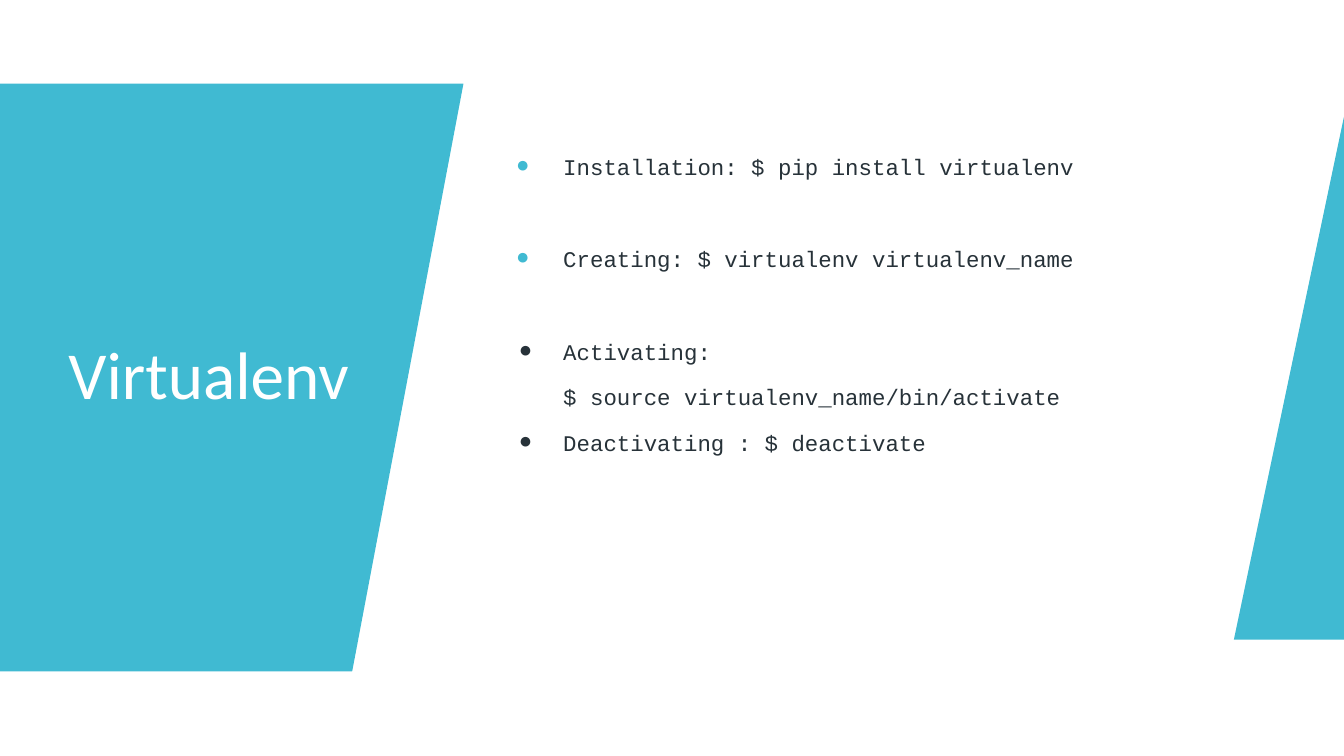
from lxml import etree
from pptx import Presentation
from pptx import util as u
from pptx.dml.color import RGBColor
from pptx.enum import text
from pptx.oxml.ns import qn

COLORS = {"panel": "40BAD2", "ink": "273239", "white": "FFFFFF"}
TITLE_FONT = {"name": "Calibri", "size": u.Pt(36), "bold": False}
BODY_FONT = {"name": "Courier New", "size": u.Pt(12)}
WIDE, NARROW = 33, 8
ITEMS = [
    ("Installation: $ pip install virtualenv", "panel", 0.89, 0),
    ("Creating: $ virtualenv virtualenv_name", "panel", 0.89, WIDE),
    ("Activating:", "ink", 0.84, WIDE),
    ("$ source virtualenv_name/bin/activate", None, 0, NARROW),
    ("Deactivating : $ deactivate", "ink", 0.84, NARROW),
]


def set_attrs(obj, values):
    for name, value in values.items():
        setattr(obj, name, value)


def place(sp, box):
    names = ("left", "top", "width", "height")
    set_attrs(sp, dict(zip(names, map(u.Cm, box))))


def style_run(r, font, color):
    set_attrs(r.font, font)
    r.font.color.rgb = RGBColor.from_string(COLORS[color])


def add_panel(slide, box, corners):
    left, top, width, height = box
    points = [(u.Cm(left + x * width), u.Cm(top + y * height)) for x, y in corners]
    builder = slide.shapes.build_freeform(*points[0])
    builder.add_line_segments(points[1:], close=True)
    sp = builder.convert_to_shape()
    sp.shadow.inherit = False
    sp.fill.solid()
    sp.fill.fore_color.rgb = RGBColor.from_string(COLORS["panel"])
    sp.line.fill.background()
    slide.shapes._spTree.insert(2, sp._element)


def set_bullet(p, color, hanging):
    pPr = p._p.get_or_add_pPr()
    pPr.set("marL", str(u.Cm(1.27)))
    pPr.set("indent", str(-u.Cm(hanging)))
    if color is None:
        etree.SubElement(pPr, qn("a:buNone"))
        return
    clr = etree.SubElement(pPr, qn("a:buClr"))
    etree.SubElement(clr, qn("a:srgbClr"), val=COLORS[color])
    etree.SubElement(pPr, qn("a:buFont"), typeface="Courier New")
    etree.SubElement(pPr, qn("a:buChar"), char="●")


def fill_title(slide, box):
    sp = slide.shapes.title
    place(sp, box)
    tf = sp.text_frame
    set_attrs(tf, {"vertical_anchor": text.MSO_ANCHOR.MIDDLE, "word_wrap": True,
                   "auto_size": text.MSO_AUTO_SIZE.NONE})
    p = tf.paragraphs[0]
    set_attrs(p, {"alignment": text.PP_ALIGN.LEFT, "line_spacing": 0.9})
    r = p.add_run()
    r.text = "Virtualenv"
    style_run(r, TITLE_FONT, "white")


def fill_body(slide, box):
    sp = slide.placeholders[1]
    place(sp, box)
    tf = sp.text_frame
    set_attrs(tf, {"vertical_anchor": text.MSO_ANCHOR.MIDDLE, "word_wrap": True,
                   "auto_size": text.MSO_AUTO_SIZE.NONE, "margin_bottom": u.Cm(1.83)})
    for i, (line, color, hanging, before) in enumerate(ITEMS):
        p = tf.add_paragraph() if i else tf.paragraphs[0]
        set_attrs(p, {"alignment": text.PP_ALIGN.LEFT, "line_spacing": 1.15,
                      "space_before": u.Pt(before), "space_after": u.Pt(0)})
        set_bullet(p, color, hanging)
        r = p.add_run()
        r.text = line
        style_run(r, BODY_FONT, color or "ink")
        r.font.color.rgb = RGBColor.from_string(COLORS["ink"])


def main():
    prs = Presentation()
    set_attrs(prs, {"slide_width": u.Cm(25.4), "slide_height": u.Cm(14.29)})
    slide = prs.slides.add_slide(prs.slide_layouts[1])
    slide.background.fill.solid()
    slide.background.fill.fore_color.rgb = RGBColor.from_string(COLORS["white"])
    add_panel(slide, (0, 1.58, 8.76, 11.11), [(0, 0), (1, 0), (0.76, 1), (0, 1)])
    add_panel(slide, (23.32, 2.21, 2.08, 9.88), [(1, 0), (1, 1), (0, 1)])
    fill_title(slide, (1.04, 3.51, 6.15, 7.26))
    fill_body(slide, (9.12, 2.34, 13.79, 8.46))
    prs.save("out.pptx")


if __name__ == "__main__":
    main()
